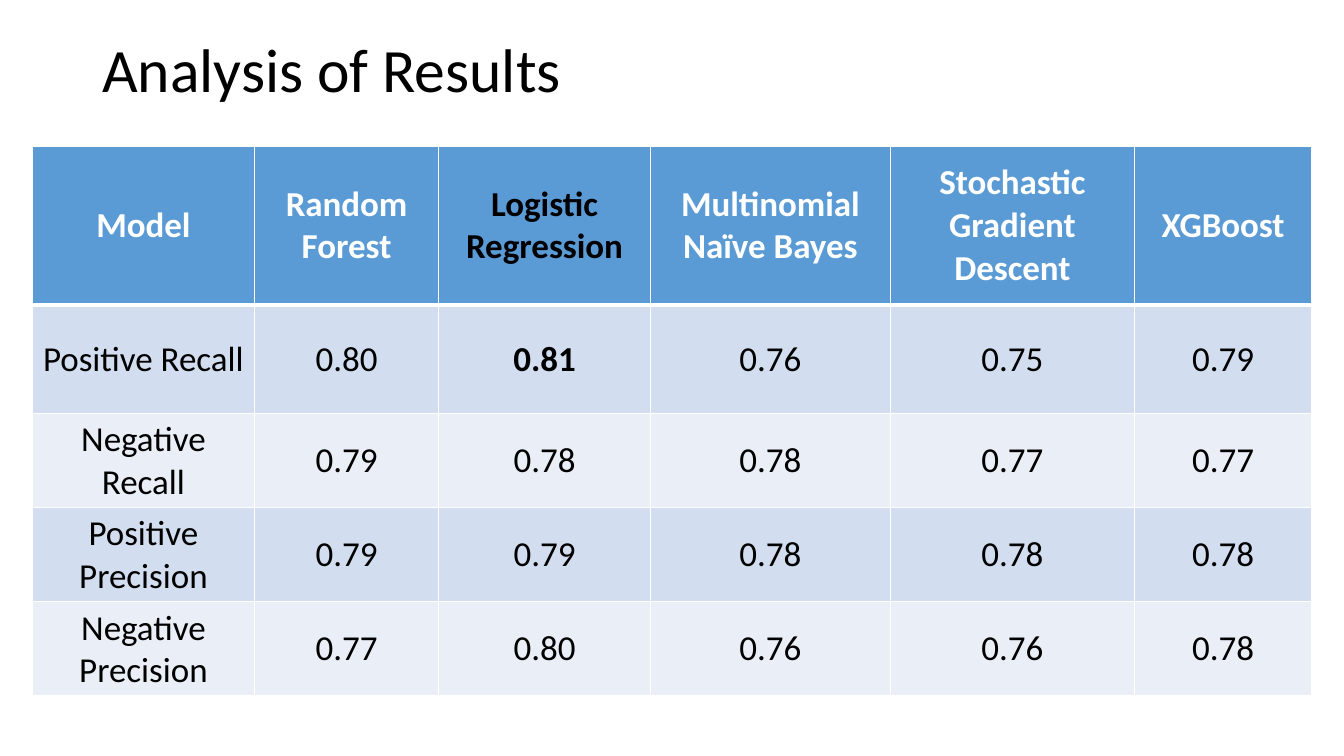
import pptx
import pptx.util
import pptx.dml.color
import pptx.enum.text
import pptx.oxml
import pptx.oxml.ns
from pptx.util import Cm

COLORS = {
    "header": "5B9BD5",
    "band_dark": "D2DEEF",
    "band_light": "EAEFF7",
    "white": "FFFFFF",
    "black": "000000",
}
FONT = "Calibri"
BEST_MODEL = "Logistic Regression"
BEST_SCORE = "0.81"

RESULTS = [
    ["Model", "Random Forest", BEST_MODEL, "Multinomial Naïve Bayes",
     "Stochastic Gradient Descent", "XGBoost"],
    ["Positive Recall", "0.80", BEST_SCORE, "0.76", "0.75", "0.79"],
    ["Negative Recall", "0.79", "0.78", "0.78", "0.77", "0.77"],
    ["Positive Precision", "0.79", "0.79", "0.78", "0.78", "0.78"],
    ["Negative Precision", "0.77", "0.80", "0.76", "0.76", "0.78"],
]
MODEL_WIDTHS = [5.59, 4.65, 5.33, 6.05, 6.15, 4.47]
ROW_HEIGHTS = [3.99, 2.74, 2.24, 2.24, 2.24]


def rgb(name):
    return pptx.dml.color.RGBColor.from_string(COLORS[name])


def add_run(paragraph, text, size, color, bold=False):
    run = paragraph.add_run()
    run.text = text
    run.font.name = FONT
    run.font.size = pptx.util.Pt(size)
    run.font.bold = bold
    run.font.color.rgb = rgb(color)


def set_borders(cell, bottom_width):
    """Draw white rules round a cell; they must come before its fill."""
    properties = cell._tc.get_or_add_tcPr()
    widths = {"lnL": 1, "lnR": 1, "lnT": 1, "lnB": bottom_width}
    for position, (side, width) in enumerate(widths.items()):
        rule = pptx.oxml.parse_xml(
            f'<a:{side} {pptx.oxml.ns.nsdecls("a")} w="{pptx.util.Pt(width)}">'
            f'<a:solidFill><a:srgbClr val="{COLORS["white"]}"/></a:solidFill>'
            f'</a:{side}>')
        properties.insert(position, rule)


def add_title(slide, left, top, width, height):
    title = slide.shapes.add_textbox(left, top, width, height).text_frame
    title.word_wrap = True
    title.vertical_anchor = pptx.enum.text.MSO_ANCHOR.MIDDLE
    heading = title.paragraphs[0]
    heading.line_spacing = 0.9
    add_run(heading, "Analysis of Results", 44, "black")


def add_results(slide, left, top, width, height):
    scores = slide.shapes.add_table(
        len(RESULTS), len(RESULTS[0]), left, top, width, height).table
    for column, share in zip(scores.columns, MODEL_WIDTHS):
        column.width = int(width * share / sum(MODEL_WIDTHS))
    for row, share in zip(scores.rows, ROW_HEIGHTS):
        row.height = int(height * share / sum(ROW_HEIGHTS))

    for row_index, values in enumerate(RESULTS):
        is_header = row_index == 0
        band = "band_dark" if row_index % 2 else "band_light"
        for column_index, value in enumerate(values):
            cell = scores.cell(row_index, column_index)
            cell.vertical_anchor = pptx.enum.text.MSO_ANCHOR.MIDDLE
            cell.margin_left = cell.margin_right = Cm(0.23)
            cell.fill.solid()
            cell.fill.fore_color.rgb = rgb("header" if is_header else band)
            set_borders(cell, 3 if is_header else 1)
            label = cell.text_frame.paragraphs[0]
            label.alignment = pptx.enum.text.PP_ALIGN.CENTER
            light = is_header and value != BEST_MODEL
            add_run(label, value, 25, "white" if light else "black",
                    bold=is_header or value == BEST_SCORE)


def main():
    deck = pptx.Presentation()
    deck.slide_width, deck.slide_height = Cm(33.87), Cm(19.05)
    slide = deck.slides.add_slide(deck.slide_layouts[6])

    # Heading
    add_title(slide, Cm(2.33), Cm(0), Cm(29.21), Cm(3.68))

    # Scores of each model
    add_results(slide, Cm(0.82), Cm(3.69), Cm(sum(MODEL_WIDTHS)),
                Cm(sum(ROW_HEIGHTS)))

    deck.save("out.pptx")


if __name__ == "__main__":
    main()
